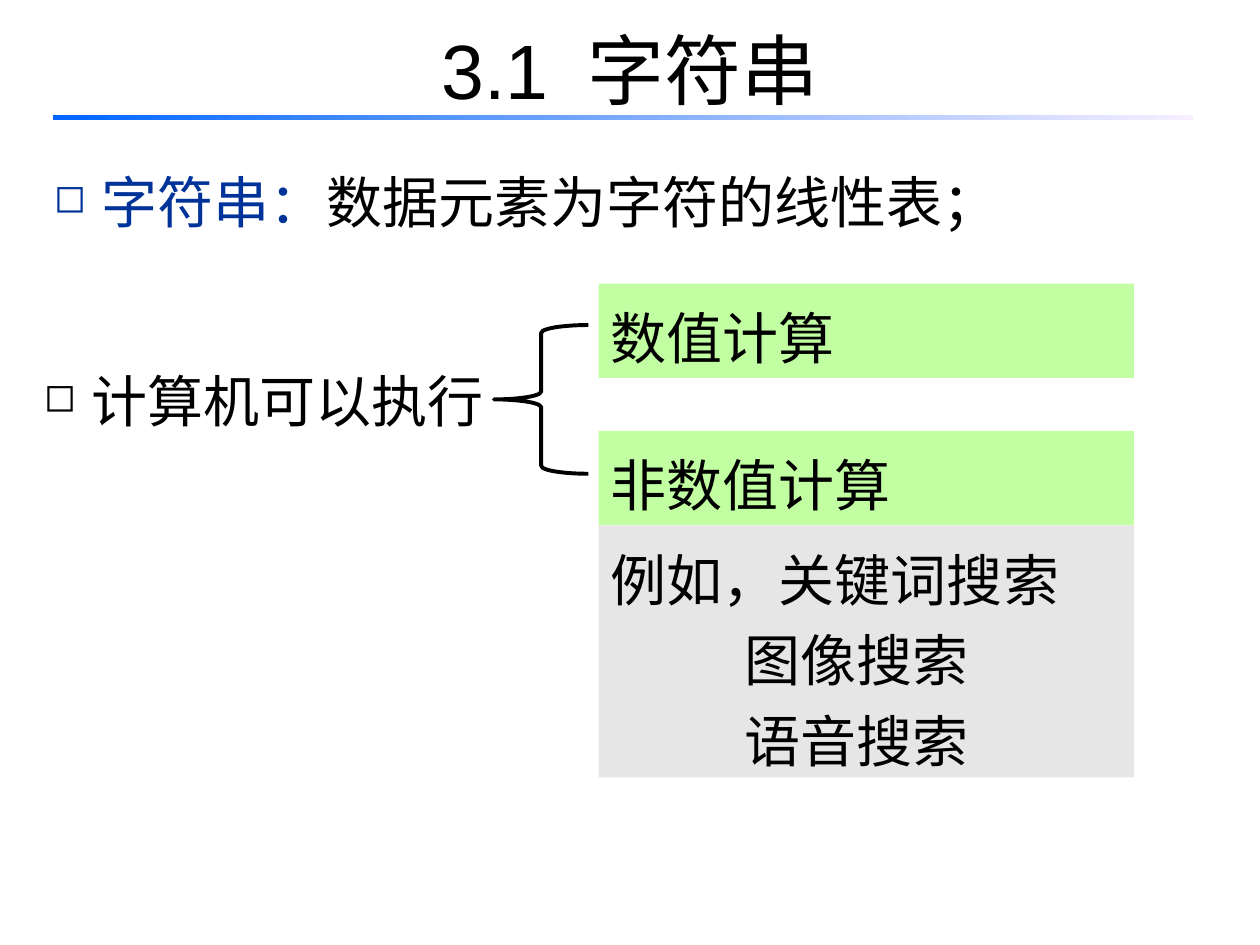
"""Build the slide that introduces character strings."""
from lxml.etree import SubElement
from pptx import Presentation
from pptx.dml.color import RGBColor
from pptx.enum.shapes import MSO_SHAPE
from pptx.enum.text import MSO_ANCHOR, PP_ALIGN
from pptx.oxml.ns import qn
from pptx.util import Inches, Pt

BLACK = RGBColor(0x00, 0x00, 0x00)
NAVY = RGBColor(0x00, 0x33, 0x99)
BLUE = RGBColor(0x00, 0x66, 0xFF)
PALE = RGBColor(0xF7, 0xEF, 0xFF)
GREEN = RGBColor(0xC2, 0xFF, 0xA3)
GRAY = RGBColor(0xE6, 0xE6, 0xE6)

FONT = "Arial"
HANG = 0.38
EXAMPLE_INDENT = 1.06
COL_X, COL_W = 4.75, 4.25

TITLE = [("3.1", 0), (" ", 1000), ("字符串", 0)]
BULLETS = [
    ((0.33, 1.17, 9.33, 0.75), [("字符串：", NAVY), ("数据元素为字符的线性表；", BLACK)]),
    ((0.25, 2.75, 3.75, 0.75), [("计算机可以执行", BLACK)]),
]
BOXES = [
    (2.25, 0.75, GREEN, [("数值计算", 0)]),
    (3.42, 0.75, GREEN, [("非数值计算", 0)]),
    (4.17, 2, GRAY, [("例如，关键词搜索", 0),
                     ("图像搜索", EXAMPLE_INDENT),
                     ("语音搜索", EXAMPLE_INDENT)]),
]


def add_run(p, text, size=32, color=BLACK):
    r = p.add_run()
    r.text = text
    r.font.size = Pt(size)
    r.font.name = FONT
    r.font.color.rgb = color
    return r


def set_indent(p, left, first=0):
    p.line_spacing = 1.2
    pPr = p._p.get_or_add_pPr()
    pPr.set("marL", str(Inches(left)))
    pPr.set("indent", str(Inches(first)))
    return pPr


def add_text(s, box):
    tf = s.shapes.add_textbox(*map(Inches, box)).text_frame
    tf.word_wrap = True
    return tf


def add_shape(s, kind, box):
    sp = s.shapes.add_shape(kind, *map(Inches, box))
    sp.shadow.inherit = False
    sp.line.fill.background()
    return sp


def add_title(s):
    tf = add_text(s, (0.5, -0.08, 9, 1.25))
    tf.vertical_anchor = MSO_ANCHOR.MIDDLE
    p = tf.paragraphs[0]
    p.alignment = PP_ALIGN.CENTER
    for text, spacing in TITLE:
        r = add_run(p, text, 44)
        r.font._element.set("spc", str(spacing))


def add_rule(s):
    rule = add_shape(s, MSO_SHAPE.RECTANGLE, (0.42, 0.91, 9.05, 0.04))
    rule.fill.gradient()
    rule.fill.gradient_angle = 0
    for stop, color, pos in zip(rule.fill.gradient_stops, (BLUE, PALE), (0, 1)):
        stop.color.rgb = color
        stop.position = pos


def add_bullet(s, box, runs):
    p = add_text(s, box).paragraphs[0]
    pPr = set_indent(p, HANG, -HANG)
    SubElement(pPr, qn("a:buSzPct")).set("val", "70000")
    SubElement(pPr, qn("a:buChar")).set("char", "◻")
    for text, color in runs:
        add_run(p, text, color=color)


def add_box(s, top, height, color, lines):
    sp = add_shape(s, MSO_SHAPE.RECTANGLE, (COL_X, top, COL_W, height))
    sp.fill.solid()
    sp.fill.fore_color.rgb = color
    tf = sp.text_frame
    tf.word_wrap = True
    tf.vertical_anchor = MSO_ANCHOR.TOP
    for i, (text, indent) in enumerate(lines):
        p = tf.add_paragraph() if i else tf.paragraphs[0]
        p.alignment = PP_ALIGN.LEFT
        set_indent(p, indent)
        add_run(p, text)


def add_brace(s):
    brace = add_shape(s, MSO_SHAPE.LEFT_BRACE, (3.92, 2.58, 0.75, 1.18))
    brace.fill.background()
    brace.line.color.rgb = BLACK
    brace.line.width = Pt(2.25)


def main():
    prs = Presentation()
    prs.slide_width, prs.slide_height = Inches(10), Inches(7.5)
    s = prs.slides.add_slide(prs.slide_layouts[6])
    add_title(s)
    add_rule(s)
    for bullet in BULLETS:
        add_bullet(s, *bullet)
    for box in BOXES:
        add_box(s, *box)
    add_brace(s)
    prs.save("out.pptx")


if __name__ == "__main__":
    main()
